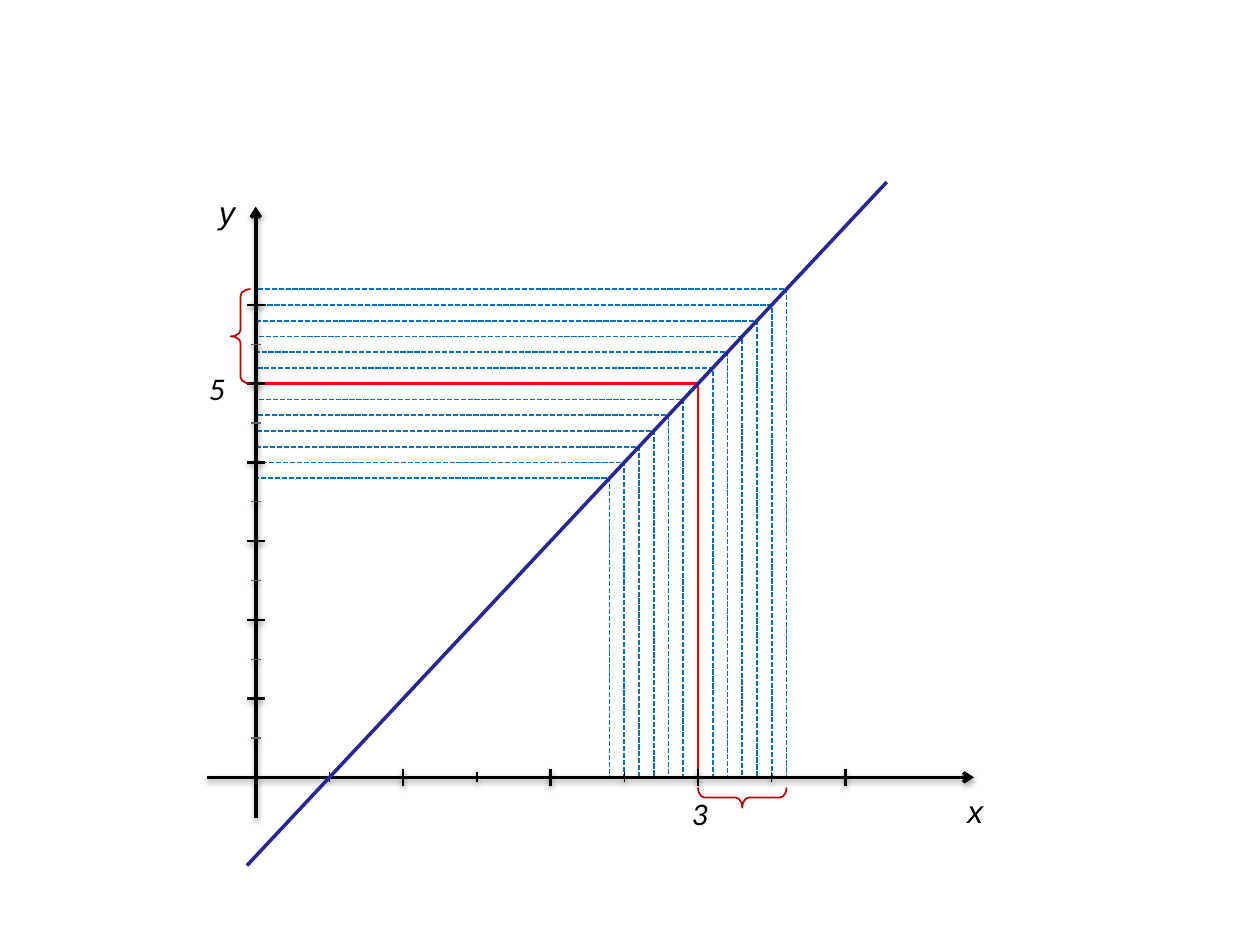
from lxml import etree
from pptx import Presentation, util as u
from pptx.dml.color import RGBColor
from pptx.enum import dml, shapes
from pptx.oxml import ns

# Content: the line y = 2x - 1 around the point (3, 5)
POINT = (3, 5)
SLOPE, INTERCEPT = 2, -1
LINE_ENDS_X = (4.28, -0.06)
DELTA_X, NEIGHBOURS = 0.1, 6
X_TICKS, Y_TICKS = 4, 6
LABELS = [  # text, left, top, font role
    ("y", 1.64, 1.48, "axis_font"),
    ("x", 7.58, 6.24, "axis_font"),
    ("3", 5.39, 6.25, "value_font"),
    ("5", 1.56, 2.88, "value_font"),
]

# Layout in inches
ORIGIN = (2.03, 6.17)
UNIT = (1.17, 0.625)
X_AXIS = ((1.64, 6.17), (7.73, 6.17))
Y_AXIS = ((2.03, 6.49), (2.03, 1.64))
LABEL_SIZE = (0.55, 0.4)
BRACE_DEPTH = 0.16

THEME = {
    "axis_font": "Arial", "value_font": "Calibri", "label_size": 18,
    "label": "000000",
    "axis": ("000000", 2), "major": ("000000", 1.5),
    "x_minor": ("000000", 0.75), "y_minor": ("606060", 0.75),
    "point": ("FF0000", 1.5), "neighbour": ("0070C0", 1),
    "graph": ("262699", 2), "brace": ("C00000", 1),
}


def place(x, y):
    """Graph coordinates to inches on the slide."""
    return ORIGIN[0] + x * UNIT[0], ORIGIN[1] - y * UNIT[1]


def graph_y(x):
    return SLOPE * x + INTERCEPT


def style_line(part, role):
    color, width = THEME[role]
    part.line.color.rgb = RGBColor.from_string(color)
    part.line.width = u.Pt(width)


def draw_outline(kind, left, top, width, height, role, adjustments, rotation=0):
    outline = slide.shapes.add_shape(kind, *map(u.Inches, (left, top, width, height)))
    outline.shadow.inherit = False
    outline.fill.background()
    style_line(outline, role)
    for index, value in enumerate(adjustments):
        outline.adjustments[index] = value
    outline.rotation = rotation
    return outline


def draw_line(start, end, role, arrow=False, shadow=True):
    line = slide.shapes.add_connector(
        shapes.MSO_CONNECTOR.STRAIGHT, *map(u.Inches, (*start, *end)))
    style_line(line, role)
    if arrow:
        etree.SubElement(line.line._get_or_add_ln(), ns.qn("a:tailEnd"), type="arrow")
    effects = etree.SubElement(line._element.spPr, ns.qn("a:effectLst"))
    if shadow:
        cast = etree.SubElement(effects, ns.qn("a:outerShdw"), blurRad="40000",
                                dist="20000", dir="5400000", rotWithShape="0")
        black = etree.SubElement(cast, ns.qn("a:srgbClr"), val="000000")
        etree.SubElement(black, ns.qn("a:alpha"), val="38000")


prs = Presentation()
prs.slide_width, prs.slide_height = u.Inches(10), u.Inches(7.5)
slide = prs.slides.add_slide(prs.slide_layouts[6])

# Guide from the y axis over the point down to the x axis
point_x, point_y = place(*POINT)
builder = slide.shapes.build_freeform(u.Inches(ORIGIN[0]), u.Inches(point_y), scale=1.0)
builder.add_line_segments(
    [(u.Inches(x), u.Inches(y)) for x, y in ((point_x, point_y), (point_x, ORIGIN[1]))],
    close=False)
guide = builder.convert_to_shape()
guide.shadow.inherit = False
guide.fill.background()
style_line(guide, "point")

# Dashed corners, each spanning one pair of neighbours around the point
for step in range(NEIGHBOURS, 0, -1):
    dx = step * DELTA_X * UNIT[0]
    dy = step * DELTA_X * SLOPE * UNIT[1]
    width = point_x + dx - ORIGIN[0]
    height = ORIGIN[1] - point_y + dy
    side = min(width, height)
    corner = draw_outline(shapes.MSO_SHAPE.CORNER, ORIGIN[0], point_y - dy, width, height,
                          "neighbour", (2 * dy / side, 2 * dx / side), 180)
    corner.line.dash_style = dml.MSO_LINE.SQUARE_DOT

# Axes
for ends in (X_AXIS, Y_AXIS):
    draw_line(*ends, "axis", arrow=True)

# Ticks at the halves and the whole units
for offset, half, x_role, y_role in ((0.5, 0.04, "x_minor", "y_minor"),
                                     (0, 0.07, "major", "major")):
    for n in range(1, X_TICKS + 1):
        x, y = place(n - offset, 0)
        draw_line((x, y - half), (x, y + half), x_role)
    for n in range(1, Y_TICKS + 1):
        x, y = place(0, n - offset)
        draw_line((x - half, y), (x + half, y), y_role)

# Labels
for label, left, top, font_role in LABELS:
    box = slide.shapes.add_textbox(*map(u.Inches, (left, top, *LABEL_SIZE)))
    box.text_frame.word_wrap = True
    run = box.text_frame.paragraphs[0].add_run()
    run.text = label
    font_format = {"name": THEME[font_role], "size": u.Pt(THEME["label_size"]), "italic": True}
    for attribute, value in font_format.items():
        setattr(run.font, attribute, value)
    run.font.color.rgb = RGBColor.from_string(THEME["label"])

# Graph of the function
draw_line(*(place(x, graph_y(x)) for x in LINE_ENDS_X), "graph", shadow=False)

# Braces over the outermost interval on each axis
reach_x = NEIGHBOURS * DELTA_X * UNIT[0]
reach_y = NEIGHBOURS * DELTA_X * SLOPE * UNIT[1]
brace_adjust = (0.325, 0.5)
draw_outline(shapes.MSO_SHAPE.LEFT_BRACE, 1.83, point_y - reach_y, BRACE_DEPTH, reach_y,
             "brace", brace_adjust)
draw_outline(shapes.MSO_SHAPE.LEFT_BRACE, point_x + (reach_x - BRACE_DEPTH) / 2,
             6.33 - reach_x / 2, BRACE_DEPTH, reach_x, "brace", brace_adjust, 270)

prs.save("out.pptx")
